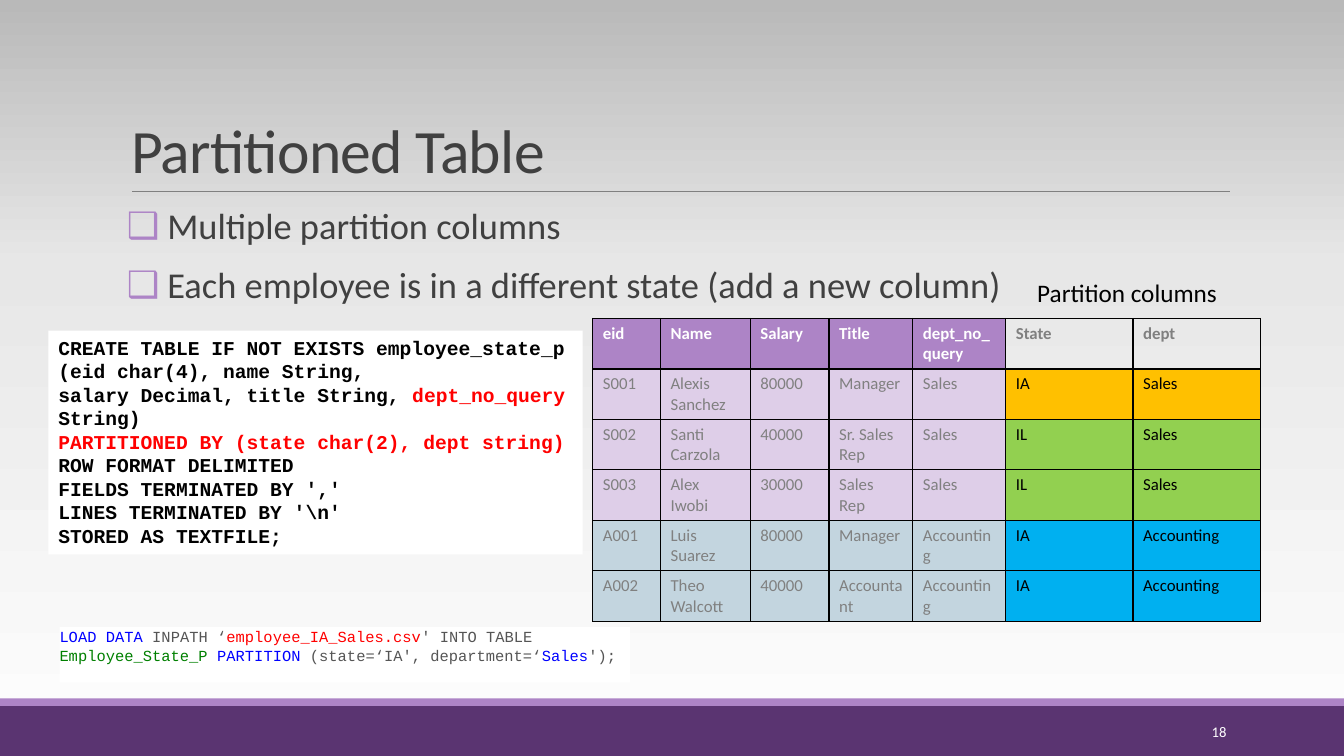
from copy import deepcopy

from pptx import Presentation
from pptx import util as u
from pptx.dml.color import RGBColor
from pptx.enum import shapes, text
from pptx.oxml import ns
from lxml import etree

WIDTH, HEIGHT = u.Inches(13.33), u.Inches(7.5)
BLACK = RGBColor(0, 0, 0)
WHITE = RGBColor(255, 255, 255)
INK = RGBColor(0x40, 0x40, 0x40)
GREY = RGBColor(0x80, 0x80, 0x80)
CODE_GREY = RGBColor(0x55, 0x55, 0x55)
RED = RGBColor(255, 0, 0)
BLUE = RGBColor(0, 0, 255)
GREEN = RGBColor(0, 0x80, 0)
PURPLE = RGBColor(0x5A, 0x34, 0x71)
LILAC = RGBColor(0xAD, 0x84, 0xC6)
PALE_LILAC = RGBColor(0xDE, 0xCE, 0xE8)
PALE_BLUE = RGBColor(0xC3, 0xD5, 0xDF)
AMBER = RGBColor(0xFF, 0xC0, 0)
LIME = RGBColor(0x92, 0xD0, 0x50)
SKY = RGBColor(0, 0xB0, 0xF0)
BACKDROP = [(0, "FEFEFE"), (65, "E7E7E7"), (100, "B9B9B9")]

CREATE_QUERY = [
    [("CREATE TABLE IF NOT EXISTS employee_state_p (eid char(4), name String,", BLACK)],
    [("salary Decimal, title String, ", BLACK), ("dept_no_query ", RED), ("String)", BLACK)],
    [("PARTITIONED BY (state char(2), dept string)", RED)],
    [("ROW FORMAT DELIMITED", BLACK)],
    [("FIELDS TERMINATED BY ','", BLACK)],
    [("LINES TERMINATED BY '\\n'", BLACK)],
    [("STORED AS TEXTFILE;", BLACK)],
]
LOAD_QUERY = [[
    ("LOAD DATA", BLUE), (" INPATH ‘", CODE_GREY), ("employee_IA_Sales.csv", RED),
    ("' INTO TABLE ", CODE_GREY), ("Employee_State_P ", GREEN), ("PARTITION", BLUE),
    (" (state=‘IA', department=‘", CODE_GREY), ("Sales", BLUE), ("');", CODE_GREY),
]]
BULLETS = ["Multiple partition columns",
           "Each employee is in a different state (add a new column)"]
HEADINGS = ["eid", "Name", "Salary", "Title", "dept_no_query", "State", "dept"]
EMPLOYEES = [
    ("S001", "Alexis Sanchez", "80000", "Manager", "Sales", "IA", "Sales"),
    ("S002", "Santi Carzola", "40000", "Sr. Sales Rep", "Sales", "IL", "Sales"),
    ("S003", "Alex Iwobi", "30000", "Sales Rep", "Sales", "IL", "Sales"),
    ("A001", "Luis Suarez", "80000", "Manager", "Accounting", "IA", "Accounting"),
    ("A002", "Theo Walcott", "40000", "Accountant", "Accounting", "IA", "Accounting"),
]
DEPARTMENT_FILL = {"Sales": PALE_LILAC, "Accounting": PALE_BLUE}
PARTITION_FILL = {("IA", "Sales"): AMBER, ("IL", "Sales"): LIME, ("IA", "Accounting"): SKY}
COLUMN_SHARES = [67, 89, 78, 83, 92, 126, 126]
STORED_COLUMNS = 5


def area(left, top, width, height):
    """Turn percentages of the slide into lengths."""
    return [round(share * side / 100)
            for share, side in zip((left, top, width, height), (WIDTH, HEIGHT) * 2)]


def apply(target, **formats):
    """Set every given format on the target."""
    for name, value in formats.items():
        setattr(target, name, value)


def child(parent, tag, **attributes):
    """Append a drawing element to the parent."""
    return etree.SubElement(parent, ns.qn(tag), attributes)


def write(frame, lines, size, font="Calibri", bold=False, align=text.PP_ALIGN.LEFT):
    """Fill a text frame with lines of coloured runs."""
    for index, line in enumerate(lines):
        paragraph = frame.add_paragraph() if index else frame.paragraphs[0]
        paragraph.alignment = align
        for words, colour in line:
            run = paragraph.add_run()
            run.text = words
            apply(run.font, name=font, size=u.Pt(size), bold=bold)
            run.font.color.rgb = colour


def panel(slide, box, colour):
    """Draw a plain filled rectangle."""
    block = slide.shapes.add_shape(shapes.MSO_SHAPE.RECTANGLE, *box)
    block.shadow.inherit = False
    block.fill.solid()
    block.fill.fore_color.rgb = colour
    block.line.fill.background()
    return block


def caption(slide, box, words, size, colour, **formats):
    """Place one line of text, aligned as asked."""
    align = formats.pop("align", text.PP_ALIGN.LEFT)
    frame = slide.shapes.add_textbox(*box).text_frame
    apply(frame, **formats)
    write(frame, [[(words, colour)]], size, align=align)


def backdrop(slide):
    """Shade the background from light at the foot to grey at the top."""
    fill = slide.background.fill
    fill.gradient()
    fill.gradient_angle = 90
    stops = next(slide._element.iter(ns.qn("a:gsLst")))
    stops.clear()
    for position, colour in BACKDROP:
        stop = child(stops, "a:gs", pos=str(position * 1000))
        child(stop, "a:srgbClr", val=colour)


def footer(slide, box):
    """Draw the bottom band, its strip and the page number."""
    left, top, width, height = box
    strip = round(height * 0.13)
    panel(slide, (left, top + strip, width, height - strip), PURPLE)
    panel(slide, (left, top, width, strip), LILAC)
    number = (left + round(width * 0.81), top + round(height * 0.23),
              round(width * 0.11), round(height * 0.7))
    caption(slide, number, "18", 10.5, WHITE, align=text.PP_ALIGN.RIGHT,
            word_wrap=True, vertical_anchor=text.MSO_ANCHOR.MIDDLE)


def heading(slide, box):
    """Format the title and rule a line under it."""
    left, top, width, height = box
    title = slide.shapes.title
    apply(title, left=left, top=top, width=width, height=height)
    frame = title.text_frame
    apply(frame, word_wrap=True, vertical_anchor=text.MSO_ANCHOR.BOTTOM,
          auto_size=text.MSO_AUTO_SIZE.NONE)
    write(frame, [[("Partitioned Table", INK)]], 44)
    frame.paragraphs[0].line_spacing = 0.85
    frame.paragraphs[0].runs[0].font._element.set("spc", "-50")
    rule = slide.shapes.add_connector(
        shapes.MSO_CONNECTOR.STRAIGHT, left + round(width * 0.01), top + height,
        left + width, top + height)
    rule.line.color.rgb = GREY
    rule.line.width = u.Pt(0.5)
    child(rule._element.spPr, "a:effectLst")


def bullets(slide, box):
    """List the points with square bullets."""
    frame = slide.shapes.add_textbox(*box).text_frame
    apply(frame, word_wrap=True, margin_left=0, margin_right=0)
    write(frame, [[(point, INK)] for point in BULLETS], 26)
    indent = round(WIDTH * 0.03)
    for index, paragraph in enumerate(frame.paragraphs):
        apply(paragraph, line_spacing=0.9, space_before=u.Pt(12 if index else 0),
              space_after=u.Pt(2))
        properties = paragraph._p.get_or_add_pPr()
        properties.set("marL", str(indent))
        properties.set("indent", str(-indent))
        child(child(properties, "a:buClr"), "a:srgbClr", val=str(LILAC))
        child(properties, "a:buFont", typeface="Calibri")
        child(properties, "a:buChar", char="❑")


def query(slide, box, lines, size, bold=False, **formats):
    """Show a query on a white panel."""
    frame = panel(slide, box, WHITE).text_frame
    apply(frame, word_wrap=True, **formats)
    write(frame, lines, size, "Courier New", bold)


def outline(cell):
    """Give a cell thin black borders."""
    properties = cell._tc.get_or_add_tcPr()
    border = etree.Element(ns.qn("a:lnL"), w=str(u.Pt(1)))
    child(child(border, "a:solidFill"), "a:srgbClr", val=str(BLACK))
    for index, side in enumerate(("a:lnL", "a:lnR", "a:lnT", "a:lnB")):
        edge = deepcopy(border)
        edge.tag = ns.qn(side)
        properties.insert(index, edge)


def employee_table(slide, box):
    """Tabulate the employees, coloured by department and partition."""
    rows = [HEADINGS, *EMPLOYEES]
    table = slide.shapes.add_table(len(rows), len(HEADINGS), *box).table
    table.horz_banding = False
    for column, share in zip(table.columns, COLUMN_SHARES):
        column.width = round(box[2] * share / sum(COLUMN_SHARES))
    for r, row in enumerate(rows):
        for c, words in enumerate(row):
            cell, stored = table.cell(r, c), c < STORED_COLUMNS
            if r == 0:
                fill, colour = (LILAC, WHITE) if stored else (None, GREY)
            elif stored:
                fill, colour = DEPARTMENT_FILL[row[-1]], GREY
            else:
                fill, colour = PARTITION_FILL[row[-2:]], BLACK
            if fill is None:
                cell.fill.background()
            else:
                cell.fill.solid()
                cell.fill.fore_color.rgb = fill
            write(cell.text_frame, [[(words, colour)]], 12, bold=r == 0)
            outline(cell)


def main():
    """Build the slide and save it."""
    deck = Presentation()
    apply(deck, slide_width=WIDTH, slide_height=HEIGHT)
    slide = deck.slides.add_slide(deck.slide_layouts[5])
    backdrop(slide)
    footer(slide, area(0, 92.4, 100, 7.6))
    heading(slide, area(9, 4.13, 82.52, 21.2))
    bullets(slide, area(9.45, 26.93, 82.52, 58.67))
    query(slide, area(3.6, 43.73, 39.76, 29.6), CREATE_QUERY, 14, True,
          vertical_anchor=text.MSO_ANCHOR.TOP)
    employee_table(slide, area(44.11, 42.13, 49.66, 40))
    caption(slide, area(76.44, 36, 15.08, 5.33), "Partition columns", 18, BLACK,
            word_wrap=False)
    query(slide, area(4.43, 82.93, 42.46, 7.33), LOAD_QUERY, 11,
          vertical_anchor=text.MSO_ANCHOR.MIDDLE, margin_left=0, margin_right=0,
          margin_top=0, margin_bottom=u.Inches(0.17))
    deck.save("out.pptx")


if __name__ == "__main__":
    main()
